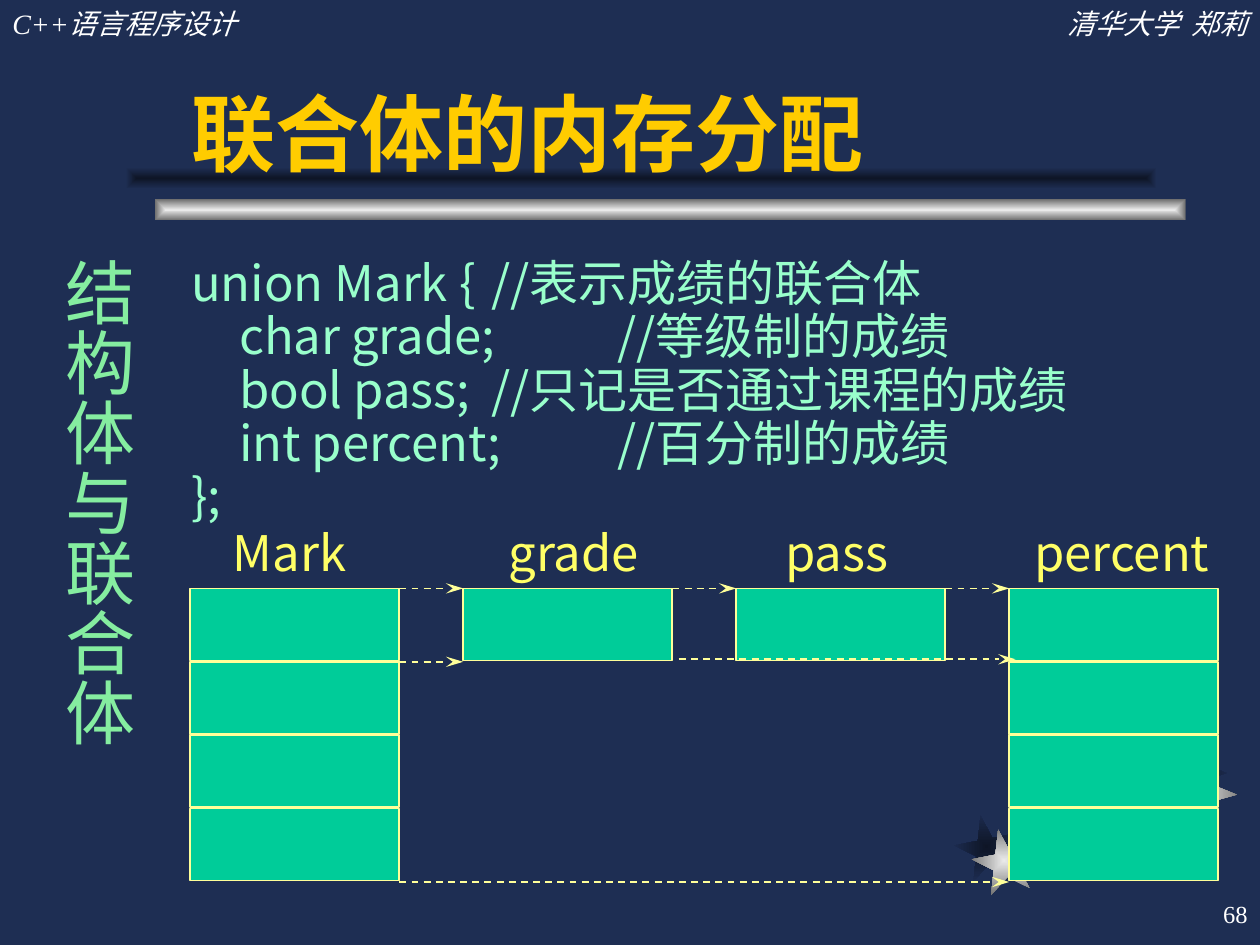
from pptx import Presentation
from pptx.dml.color import RGBColor
from pptx.enum.dml import MSO_LINE
from pptx.enum.shapes import MSO_CONNECTOR, MSO_SHAPE
from pptx.enum.text import MSO_ANCHOR, PP_ALIGN
from pptx.oxml.ns import qn
from pptx.util import Inches, Pt
from lxml import etree

RECT, STAR = MSO_SHAPE.RECTANGLE, MSO_SHAPE.STAR_5_POINT
LINE, DASH = MSO_CONNECTOR.STRAIGHT, MSO_LINE.DASH
LEFT, RIGHT = PP_ALIGN.LEFT, PP_ALIGN.RIGHT
TOP, CORE, BASE = MSO_ANCHOR.TOP, MSO_ANCHOR.MIDDLE, MSO_ANCHOR.BOTTOM
WIDE, HIGH = 10, 7.5
SANS, SERIF = "Noto Sans CJK SC", "Times New Roman"
NAVY, DARK, PALE, GREY = "1E2E53", "0E1526", "EAEAEA", "6C6C6C"
WHITE, GOLD, MINT, LEAF = "FFFFFF", "FFCC00", "99FFCC", "85EDA0"
TEAL, CREAM, LEMON = "00CC99", "FFFF99", "FFFF66"


def color(code):
    return RGBColor.from_string(code)


def place(box):
    return [Inches(v) for v in box]


def sub(node, tag, **keys):
    return etree.SubElement(node, qn(tag), **keys)


def style(para, face, size, code, align=LEFT):
    para.alignment = align
    font = para.font
    font.name, font.size = face, Pt(size)
    font.color.rgb = color(code)
    sub(font._element, "a:ea", typeface=SANS)
    return font


def text(slide, box, words, face, size, code, align=LEFT, anchor=TOP, wrap=True):
    frame = slide.shapes.add_textbox(*place(box)).text_frame
    frame.word_wrap = wrap
    frame.vertical_anchor = anchor
    frame.text = words
    for para in frame.paragraphs:
        style(para, face, size, code, align)
    return frame


def shade(slide, kind, box, inner, outer, turn=0):
    shape = slide.shapes.add_shape(kind, *place(box))
    shape.shadow.inherit = False
    shape.line.fill.background()
    shape.rotation = turn
    shape.fill.gradient()
    for stop, code, spot in zip(shape.fill.gradient_stops, (inner, outer), (0, 1)):
        stop.color.rgb = color(code)
        stop.position = spot
    grad = shape._element.spPr.find(qn("a:gradFill"))
    grad.remove(grad.find(qn("a:lin")))
    ring = sub(grad, "a:path")
    ring.set("path", "rect")
    sub(ring, "a:fillToRect", l="50000", t="50000", r="50000", b="50000")


def stars(slide, box):
    x, y, w, h = box
    tones = ((DARK, NAVY), (PALE, GREY))
    marks = (
        (0, 0.72, 0.5, 349, 0.14, 0.11),
        (0.83, 0.1, 0.46, 0, 0.08, 0.09),
        (1.48, 0, 0.67, 22, 0.08, 0.17),
    )
    for step, tone in enumerate(tones):
        for dx, dy, size, turn, right, down in marks:
            spot = (x + dx + step * right, y + dy + step * down, size, size)
            shade(slide, STAR, spot, *tone, turn)


def bars(slide, box):
    x, y, w, h = box
    shade(slide, RECT, (x + 0.23, y + 0.25, w, h), PALE, GREY)
    shade(slide, RECT, box, DARK, NAVY)


def header(slide, box):
    x, y, w, h = box
    half = 0.308 * w
    pairs = ((x, "C++语言程序设计", LEFT), (x + w - half, "清华大学  郑莉", RIGHT))
    for left, words, align in pairs:
        frame = text(slide, (left, y, half, h), words, SERIF, 16, WHITE, align)
        frame.paragraphs[0].font.italic = True


def title(slide, box):
    shape = slide.shapes.title
    shape.left, shape.top, shape.width, shape.height = place(box)
    frame = shape.text_frame
    frame.vertical_anchor = BASE
    frame.text = "联合体的内存分配"
    style(frame.paragraphs[0], "Arial", 48, GOLD).bold = True


def code(slide, box):
    rows = (
        "union Mark {\t//表示成绩的联合体",
        "\tchar grade;\t//等级制的成绩",
        "\tbool pass;\t//只记是否通过课程的成绩",
        "\tint percent;\t//百分制的成绩",
        "};",
    )
    frame = text(slide, box, "\n".join(rows), SANS, 28, MINT)
    for para in frame.paragraphs:
        para.line_spacing = 0.7
        para.space_before = Pt(7)
        prop = para._p.get_or_add_pPr()
        prop.set("marL", str(Inches(0.38)))
        prop.set("indent", str(-Inches(0.38)))
        prop.set("defTabSz", str(Inches(1)))
        tabs = etree.Element(qn("a:tabLst"))
        for stop in range(8):
            sub(tabs, "a:tab", pos=str(Inches(stop)), algn="l")
        prop.find(qn("a:defRPr")).addprevious(tabs)


def cell(slide, box):
    shape = slide.shapes.add_shape(RECT, *place(box))
    shape.shadow.inherit = False
    shape.fill.solid()
    shape.fill.fore_color.rgb = color(TEAL)
    shape.line.color.rgb = color(CREAM)
    shape.line.width = Pt(1)


def arrow(slide, start, end, y):
    link = slide.shapes.add_connector(LINE, *place((start, y, end, y)))
    link.line.color.rgb = color(CREAM)
    link.line.width = Pt(1)
    link.line.dash_style = DASH
    prop = link._element.spPr
    sub(prop.find(qn("a:ln")), "a:tailEnd", type="stealth", w="med", len="lg")
    sub(prop, "a:effectLst")


def memory(slide, box):
    x, y, w, h = box
    wide, row = 1.66, h / 4
    step = (w - wide) / 3
    parts = (
        ("Mark", 4, 0.24, 1.14),
        ("grade", 1, 0.26, 1.28),
        ("pass", 1, 0.29, 1.03),
        ("percent", 4, 0.1, 1.61),
    )
    for col, (name, count, shift, size) in enumerate(parts):
        left = x + col * step
        for line in range(count):
            cell(slide, (left, y + line * row, wide, row - 0.01))
        spot = (left + shift, y - 0.57, size, 0.57)
        text(slide, spot, name, SANS, 28, LEMON, wrap=False)
    for col in range(3):
        arrow(slide, x + col * step + wide, x + (col + 1) * step, y)
    arrow(slide, x + wide, x + step, y + row)
    arrow(slide, x + step + wide + 0.05, x + 3 * step + 0.05, y + row - 0.02)
    arrow(slide, x + wide, x + 3 * step, y + h)


def side(slide, box):
    frame = text(slide, box, "结构体与联合体", SERIF, 40, LEAF)
    frame.margin_left = frame.margin_right = Inches(0.05)
    frame.margin_top, frame.margin_bottom = place((0.63, 0.1))
    frame._txBody.bodyPr.set("vert", "eaVert")


def main():
    deck = Presentation()
    deck.slide_width, deck.slide_height = place((WIDE, HIGH))
    slide = deck.slides.add_slide(deck.slide_layouts[5])
    slide.background.fill.solid()
    slide.background.fill.fore_color.rgb = color(NAVY)
    stars(slide, (7.58, 5.75, 2.23, 1.33))
    bars(slide, (1, 1.33, 8.18, 0.17))
    header(slide, (0, 0, WIDE, 0.37))
    tree = slide.shapes._spTree
    tree.append(slide.shapes.title._element)
    title(slide, (1.42, 0.25, 7.83, 1.25))
    code(slide, (1.42, 2.08, 7.92, 2.14))
    text(slide, (7.92, 7, 2.08, 0.5), "68", SERIF, 14, WHITE, RIGHT, CORE)
    memory(slide, (1.51, 4.67, 8.16, 2.33))
    side(slide, (0.3, 1.42, 0.86, 5.17))
    deck.save("out.pptx")


if __name__ == "__main__":
    main()
